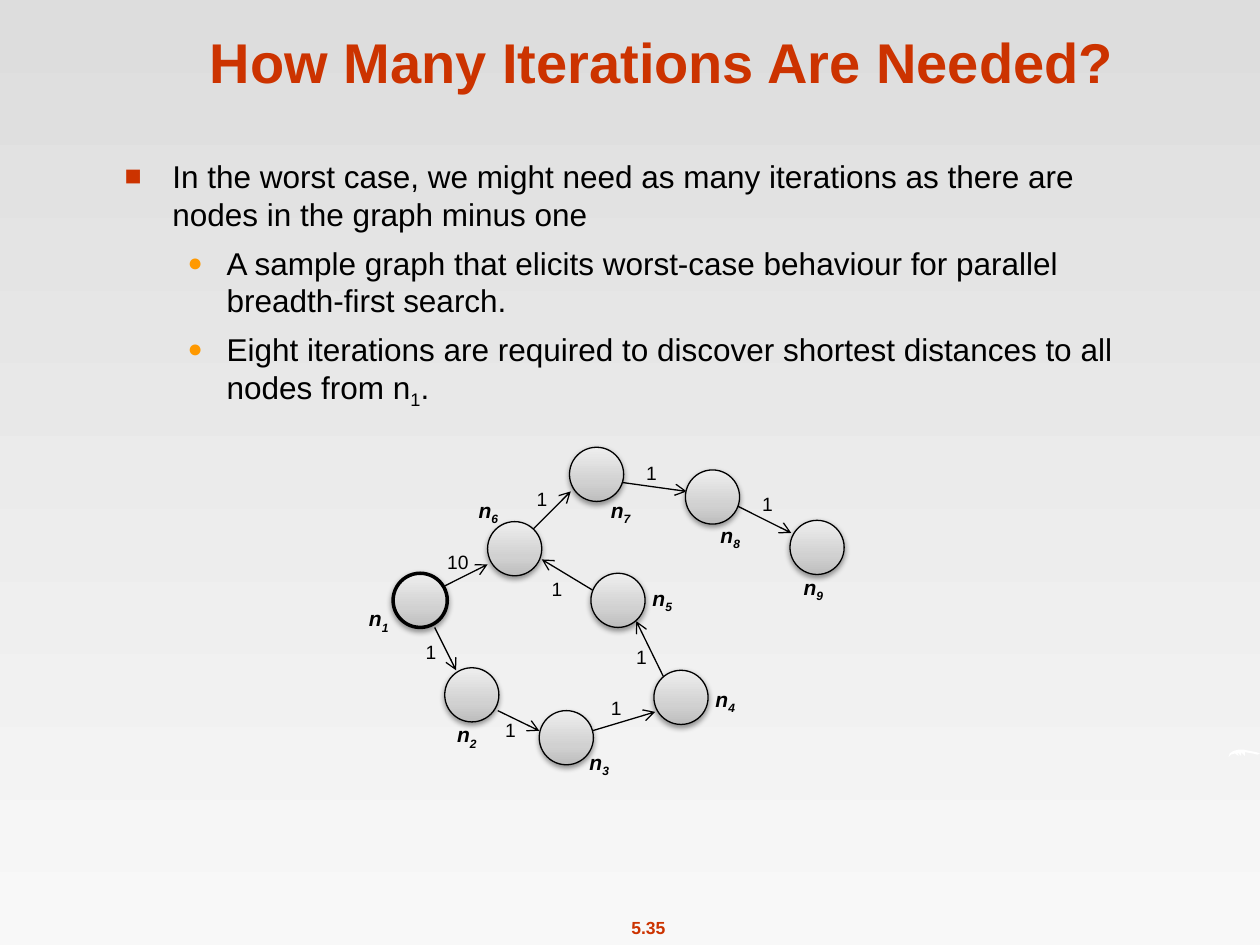
from copy import deepcopy
from dataclasses import dataclass

from lxml import etree
from pptx import Presentation
from pptx import util as u
from pptx.dml import color
from pptx.enum import shapes, text
from pptx.oxml import ns


@dataclass(frozen=True)
class Theme:
    """Colours, font and type sizes of the slide."""
    font: str = "Arial"
    accent: str = "CC3300"
    sub_bullet: str = "FF9900"
    ink: str = "000000"
    white: str = "FFFFFF"
    background: tuple = ((0, "DDDDDD"), (1, "F8F8F8"))
    node: tuple = ((0, "BDBDBD"), (0.35, "D1D1D1"), (1, "EEEEEE"))
    title_size: int = 32
    body_size: int = 18
    label_size: int = 12
    weight_size: int = 11
    number_size: int = 10


THEME = Theme()
NODE_SIZE = 0.43
NODES = [  # left, top of the circle, then of its label
    ((3.12, 4.55), (2.83, 4.76)), ((3.53, 5.3), (3.53, 5.68)),
    ((4.28, 5.64), (4.58, 5.9)), ((5.19, 5.32), (5.58, 5.4)),
    ((4.69, 4.55), (5.08, 4.6)), ((3.87, 4.14), (3.7, 3.9)),
    ((4.52, 3.55), (4.75, 3.9)), ((5.44, 3.73), (5.62, 4.1)),
    ((6.27, 4.13), (6.28, 4.51)),
]
EDGES = [  # start, end, weight, left and top of the weight
    ((3.53, 4.65), (3.87, 4.48), "10", (3.45, 4.32)),
    ((3.45, 4.98), (3.62, 5.32), "1", (3.28, 5.03)),
    ((3.95, 5.64), (4.28, 5.8), "1", (3.91, 5.65)),
    ((4.7, 5.8), (5.2, 5.65), "1", (4.75, 5.48)),
    ((5.28, 5.4), (5.05, 4.93), "1", (4.95, 5.07)),
    ((4.78, 4.73), (4.3, 4.44), "1", (4.28, 4.53)),
    ((4.2, 4.23), (4.53, 3.9), "1", (4.16, 3.82)),
    ((4.87, 3.82), (5.45, 3.9), "1", (5.03, 3.61)),
    ((5.78, 3.98), (6.28, 4.23), "1", (5.95, 3.86)),
]
WISP = [
    (9.75, 6.01), (9.76, 5.98), (9.79, 5.96), (9.83, 5.95), (9.87, 5.95),
    (9.92, 5.96), (9.97, 5.97), (10, 5.98), (9.98, 5.99), (9.94, 5.98),
    (9.88, 5.97), (9.88, 6), (9.85, 5.97), (9.85, 6), (9.82, 5.97),
    (9.83, 6), (9.8, 5.98), (9.77, 5.99),
]
BULLETS = [  # level, text, subscript, ending, line spacing, space before
    (0, "In the worst case, we might need as many iterations as there are "
        "nodes in the graph minus one", "", "", 21.5, 0),
    (1, "A sample graph that elicits worst-case behaviour for parallel "
        "breadth-first search.", "", "", 21.5, 6.5),
    (1, "Eight iterations are required to discover shortest distances to all "
        "nodes from n", "1", ".", 24.25, 3.75),
]
BULLET_STYLES = [
    dict(char="■", colour=THEME.accent, percent=90, margin=0.38, hanging=0.38),
    dict(char="●", colour=THEME.sub_bullet, percent=80, margin=0.81, hanging=0.31),
]


def set_all(target, values):
    """Set every attribute named in a dict."""
    for name, value in values.items():
        setattr(target, name, value)


def add_xml(parent, tag, **attributes):
    """Append a DrawingML element and return it."""
    element = etree.SubElement(parent, ns.qn(tag))
    for name, value in attributes.items():
        element.set(name, str(value))
    return element


def fill_gradient(fill, stops, angle):
    """Fill with a linear gradient of the given stops."""
    fill.gradient()
    fill.gradient_angle = angle
    first = fill.gradient_stops[0]._gs
    for _ in stops[2:]:
        first.addnext(deepcopy(first))
    for stop, (position, colour) in zip(fill.gradient_stops, stops):
        stop.position = position
        stop.color.rgb = color.RGBColor.from_string(colour)


def add_run(paragraph, content, size, colour=THEME.ink, subscript=False, **style):
    """Add a formatted run, lowered when it is a subscript."""
    run = paragraph.add_run()
    run.text = content
    set_all(run.font, dict(name=THEME.font, size=u.Pt(size), **style))
    run.font.color.rgb = color.RGBColor.from_string(colour)
    if subscript:
        run._r.get_or_add_rPr().set("baseline", "-25000")


def add_text_box(parent, box, wrap=False, **frame_format):
    """Add a text box and return its text frame."""
    shape = parent.shapes.add_textbox(*map(u.Inches, box))
    set_all(shape.text_frame, dict(word_wrap=wrap, **frame_format))
    return shape.text_frame


def add_centred_line(slide, box, content, size, **frame_format):
    """Add a bold centred line in the accent colour."""
    paragraph = add_text_box(slide, box, **frame_format).paragraphs[0]
    paragraph.alignment = text.PP_ALIGN.CENTER
    add_run(paragraph, content, size, THEME.accent, bold=True)


def set_bullet(paragraph, char, colour, percent, margin, hanging):
    """Give a paragraph its bullet and hanging indent."""
    properties = paragraph._p.get_or_add_pPr()
    properties.set("marL", str(u.Inches(margin)))
    properties.set("indent", str(-u.Inches(hanging)))
    add_xml(add_xml(properties, "a:buClr"), "a:srgbClr", val=colour)
    add_xml(properties, "a:buSzPct", val=percent * 1000)
    add_xml(properties, "a:buFont", typeface=THEME.font)
    add_xml(properties, "a:buChar", char=char)


def add_body(slide):
    """Add the bulleted text."""
    frame = add_text_box(slide, (0.89, 1.2, 8.38, 5.36), wrap=True)
    for index, (level, content, subscript, ending, spacing, before) in enumerate(BULLETS):
        paragraph = frame.add_paragraph() if index else frame.paragraphs[0]
        set_bullet(paragraph, **BULLET_STYLES[level])
        set_all(paragraph, dict(level=level, line_spacing=u.Pt(spacing),
                                space_before=u.Pt(before)))
        add_run(paragraph, content, THEME.body_size)
        if subscript:
            add_run(paragraph, subscript, THEME.body_size, subscript=True)
            add_run(paragraph, ending, THEME.body_size)


def add_edge(group, start, end):
    """Add an arrow between two points."""
    edge = group.shapes.add_connector(
        shapes.MSO_CONNECTOR.STRAIGHT, *map(u.Inches, start + end))
    edge.line.width = u.Pt(0.75)
    edge.line.color.rgb = color.RGBColor.from_string(THEME.ink)
    add_xml(edge.line._get_or_add_ln(), "a:tailEnd", type="arrow")
    add_xml(edge._element.spPr, "a:effectLst")


def add_node(group, position, line_width):
    """Add a shaded circle with a soft shadow below it."""
    node = group.shapes.add_shape(
        shapes.MSO_SHAPE.OVAL, *map(u.Inches, position + (NODE_SIZE, NODE_SIZE)))
    fill_gradient(node.fill, THEME.node, 90)
    node.line.width = u.Pt(line_width)
    node.line.color.rgb = color.RGBColor.from_string(THEME.ink)
    node.shadow.inherit = False
    effects = node._element.spPr.find(ns.qn("a:effectLst"))
    shadow = add_xml(effects, "a:outerShdw", blurRad=u.Pt(3.1), dist=u.Pt(1.6),
                     dir=5400000, rotWithShape=0)
    add_xml(add_xml(shadow, "a:srgbClr", val=THEME.ink), "a:alpha", val=38000)


def add_graph(slide):
    """Add the weighted graph as one group."""
    group = slide.shapes.add_group_shape()
    for start, end, _, _ in EDGES:
        add_edge(group, start, end)
    for number, (position, label_position) in enumerate(NODES, 1):
        add_node(group, position, 2 if number == 1 else 0.75)
        paragraph = add_text_box(group, label_position + (0.37, 0.3)).paragraphs[0]
        style = dict(size=THEME.label_size, bold=True, italic=True)
        add_run(paragraph, "n", **style)
        add_run(paragraph, str(number), subscript=True, **style)
    for _, _, weight, position in EDGES:
        width = 0.21 + 0.08 * len(weight)
        frame = add_text_box(group, position + (width, 0.29))
        add_run(frame.paragraphs[0], weight, THEME.weight_size)


def add_wisp(slide):
    """Add the small white stroke at the right edge."""
    points = [(u.Inches(x), u.Inches(y)) for x, y in WISP]
    builder = slide.shapes.build_freeform(*points[0])
    builder.add_line_segments(points[1:], close=True)
    shape = builder.convert_to_shape()
    shape.fill.solid()
    shape.fill.fore_color.rgb = color.RGBColor.from_string(THEME.white)
    shape.line.fill.background()
    shape.shadow.inherit = False


def main():
    """Build and save the slide."""
    presentation = Presentation()
    set_all(presentation, dict(slide_width=u.Inches(10), slide_height=u.Inches(7.5)))
    slide = presentation.slides.add_slide(presentation.slide_layouts[6])
    fill_gradient(slide.background.fill, THEME.background, 270)
    add_centred_line(slide, (4.9, 7.23, 0.49, 0.27), "5.35", THEME.number_size)
    add_wisp(slide)
    add_centred_line(slide, (0.84, 0.13, 8.83, 0.67), "How Many Iterations Are Needed?",
                     THEME.title_size, wrap=True, vertical_anchor=text.MSO_ANCHOR.BOTTOM)
    add_body(slide)
    add_graph(slide)
    presentation.save("out.pptx")


if __name__ == "__main__":
    main()
